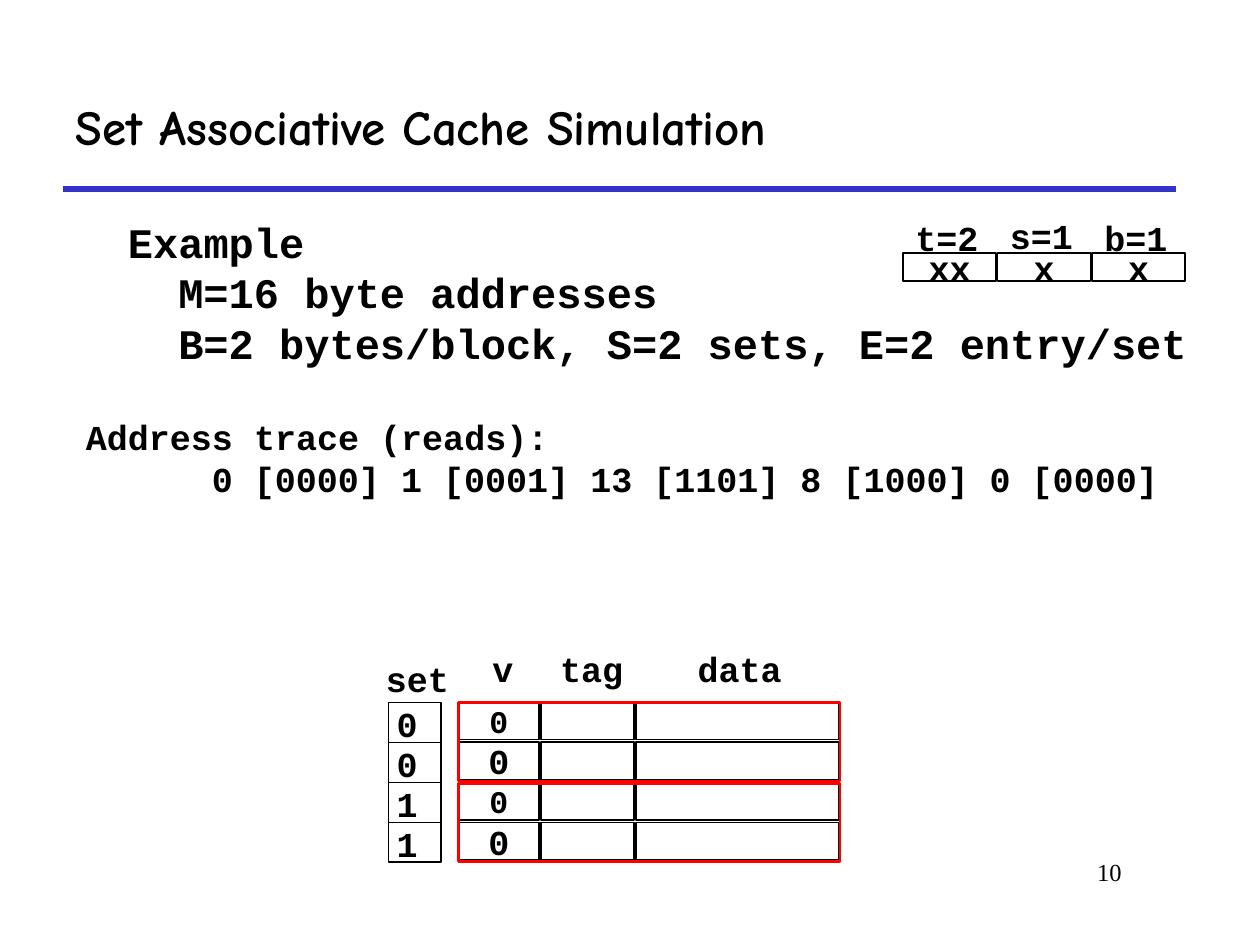
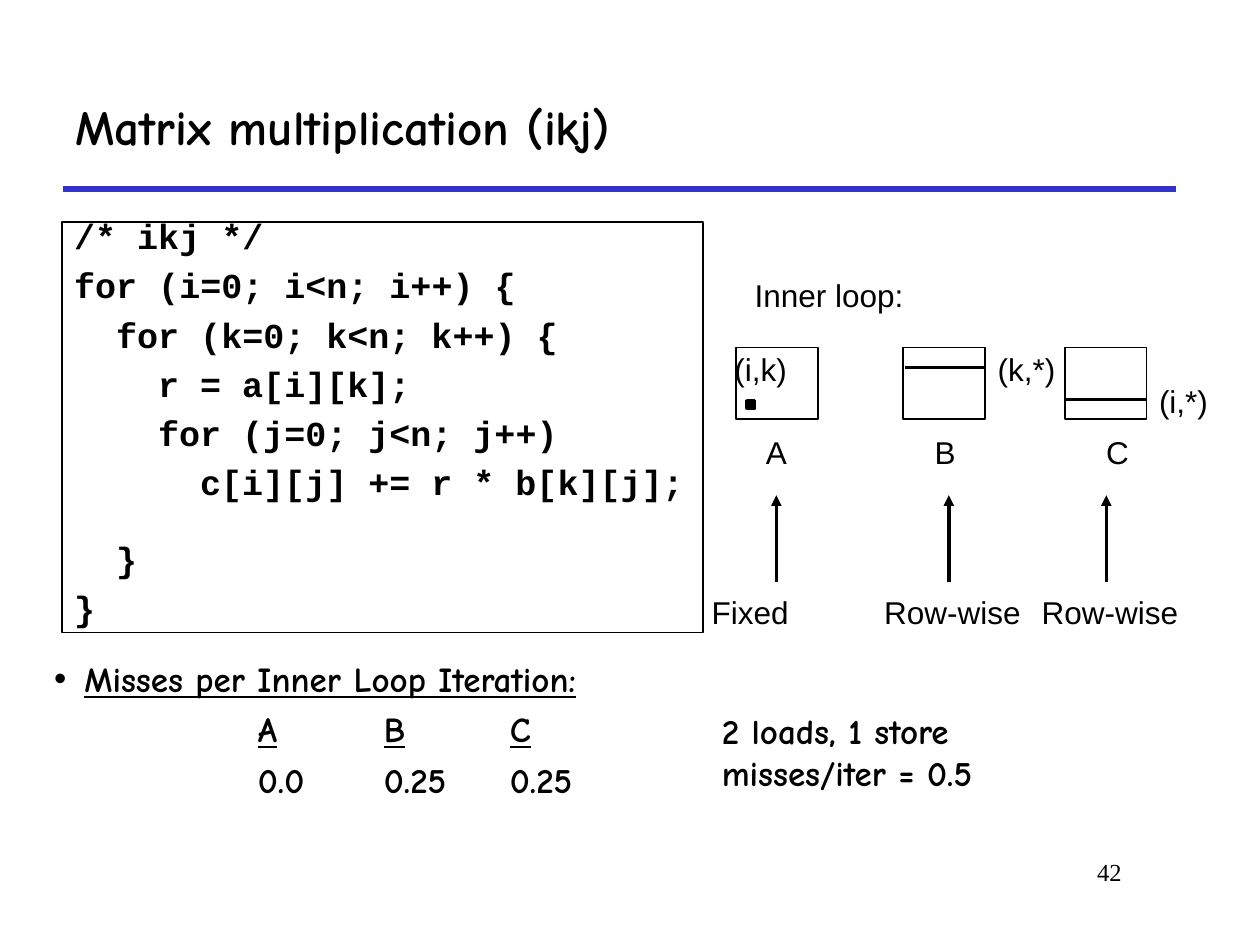
from pptx import Presentation
from pptx.dml.color import RGBColor
from pptx.enum.shapes import MSO_CONNECTOR, MSO_SHAPE
from pptx.enum.text import MSO_ANCHOR, MSO_AUTO_SIZE, PP_ALIGN
from pptx.util import Pt
from lxml.etree import SubElement
from pptx.oxml.ns import qn

BLACK, WHITE, RED, BLUE = "000000", "FFFFFF", "FF0000", "3333CC"
MONO, HAND, SANS, SERIF = "Courier New", "Comic Neue", "Arial", "Times New Roman"
CODE = dict(font=MONO, size=20, bold=True)
NOTE = dict(font=HAND, size=20, bold=True)
LABEL = dict(font=SANS, size=18, wrap=False)
CELL = dict(CODE, wrap=False, align=PP_ALIGN.CENTER, anchor=MSO_ANCHOR.MIDDLE)


def color(hex_code):
    return RGBColor.from_string(hex_code)


def add_paragraph(p, text, font=SANS, size=18, bold=False, underline=False,
                  align=PP_ALIGN.LEFT, indent=0, hanging=0, bullet=None,
                  before=0, spacing=None):
    p.alignment = align
    p.space_before = Pt(before)
    if spacing:
        p.line_spacing = spacing
    pPr = p._p.get_or_add_pPr()
    pPr.set("marL", str(Pt(indent)))
    pPr.set("indent", str(Pt(-hanging)))
    if bullet:
        SubElement(pPr, qn("a:buFont"), typeface=SANS)
        SubElement(pPr, qn("a:buChar"), char=bullet)
    r = p.add_run()
    r.text = text
    r.font.name = font
    r.font.size = Pt(size)
    r.font.bold = bold
    r.font.underline = underline
    r.font.color.rgb = color(BLACK)


def write(sp, lines, wrap=True, anchor=MSO_ANCHOR.TOP, **fmt):
    tf = sp.text_frame
    tf.word_wrap = wrap
    tf.vertical_anchor = anchor
    for i, line in enumerate([lines] if isinstance(lines, str) else lines):
        text, own = (line, {}) if isinstance(line, str) else line
        p = tf.add_paragraph() if i else tf.paragraphs[0]
        add_paragraph(p, text, **{**fmt, **own})


def add_text(s, box, lines, wrap=True, **fmt):
    sp = s.shapes.add_textbox(*map(Pt, box))
    write(sp, lines, wrap=wrap, **fmt)
    if not wrap:
        sp.text_frame.auto_size = MSO_AUTO_SIZE.SHAPE_TO_FIT_TEXT


def add_rect(s, box, fill=WHITE, line=BLACK, width=1):
    sp = s.shapes.add_shape(MSO_SHAPE.RECTANGLE, *map(Pt, box))
    sp.shadow.inherit = False
    if fill:
        sp.fill.solid()
        sp.fill.fore_color.rgb = color(fill)
    else:
        sp.fill.background()
    sp.line.color.rgb = color(line)
    sp.line.width = Pt(width)
    return sp


def add_line(s, x1, y1, x2, y2, line=BLACK, width=2, arrow=False):
    cxn = s.shapes.add_connector(MSO_CONNECTOR.STRAIGHT, *map(Pt, (x1, y1, x2, y2)))
    cxn.line.color.rgb = color(line)
    cxn.line.width = Pt(width)
    if arrow:
        SubElement(cxn.line._get_or_add_ln(), qn("a:tailEnd"), type="triangle")
    SubElement(cxn._element.spPr, qn("a:effectLst"))


def add_page(prs, title, number):
    s = prs.slides.add_slide(prs.slide_layouts[6])
    add_line(s, 36, 108, 672, 108, line=BLUE, width=3)
    add_text(s, (546, 486, 102, 36), number, font=SERIF, size=14, align=PP_ALIGN.RIGHT)
    add_text(s, (36, 36, 636, 72), title, font=HAND, size=28, bold=True,
             anchor=MSO_ANCHOR.MIDDLE)
    return s


def address_fields(s, box):
    x, y, w, h = box
    step = w / 3
    fields = [("t=2", "xx", 0), ("s=1", "x", -1.4), ("b=1", "x", 0)]
    for i, (name, bits, shift) in enumerate(fields):
        left = x + i * step
        write(add_rect(s, (left, y + h - 16, step - 0.8, 16)), bits, **CELL)
        add_text(s, (left, y + shift, 50.4, 31), name, wrap=False, **CODE)


def cache_table(s, box):
    x, y, w, h = box
    row_h = h / 4
    columns = [(0, 46), (47, 53.5), (101.5, 116)]
    for row in range(4):
        for col, (left, width) in enumerate(columns):
            sp = add_rect(s, (x + left, y + row * row_h, width, 21.6))
            if col == 0:
                write(sp, "0", **{**CELL, "size": 20 if row % 2 else 18})
    for name, left, width in [("v", 12.3, 26.6), ("tag", 51, 50.4), ("data", 129.6, 62.6)]:
        add_text(s, (x + left, y - 34.6, width, 31), name, wrap=False, **CODE)
    for pair in range(2):
        add_rect(s, (x, y + 0.6 + pair * h / 2, w, 44.8), fill=None, line=RED, width=1.5)


def set_column(s, box):
    x, y, w, h = box
    row_h = h / 4
    add_rect(s, box, fill=None, width=0.75)
    for row, index in enumerate("0011"):
        top = y + row * row_h
        if row:
            add_line(s, x, top, x + w, top, width=0.75)
        add_text(s, (x - 2.4, top - 3.5, 26, 31.5), index, wrap=False, **CODE)
    add_text(s, (x - 8.6, y - 29.5, 50.4, 31.5), "set", wrap=False, **CODE)


def cache_slide(prs):
    s = add_page(prs, "Set Associative Cache Simulation", "10")
    add_text(s, (66, 120, 624, 96), [
        "Example",
        ("M=16 byte addresses", dict(indent=28.8)),
        ("B=2 bytes/block, S=2 sets, E=2 entry/set", dict(indent=28.8)),
    ], font=MONO, size=24, bold=True)
    add_text(s, (42, 234, 654, 55.5), [
        "Address trace (reads):",
        ("0 [0000] 1 [0001] 13 [1101] 8 [1000] 0 [0000]", dict(indent=72)),
    ], **CODE)
    address_fields(s, (516, 120.2, 162, 40.5))
    cache_table(s, (262, 401, 218, 92))
    set_column(s, (222, 401.6, 30, 91))


def code_box(s, box):
    lines = [
        (0, "/* ikj */"),
        (0, "for (i=0; i<n; i++) {"),
        (1, "for (k=0; k<n; k++) {"),
        (2, "r = a[i][k];"),
        (2, "for (j=0; j<n; j++)"),
        (3, "c[i][j] += r * b[k][j];"),
        (1, "}"),
        (0, "}"),
    ]
    gap = 12.5
    paragraphs = [(text, dict(indent=24 * level,
                              before=28 if (level, text) == (1, "}") else gap))
                  for level, text in lines]
    write(add_rect(s, box, fill=None), paragraphs, spacing=0.65, **CODE)


def inner_loop(s, box):
    x, y, w, h = box
    add_text(s, (x + 24.5, y, 99.4, 29), "Inner loop:", **LABEL)
    matrices = [
        ("A", 21, 31, 26.6, "Fixed", 0, 58.3, 44),
        ("B", 116.6, 127.4, 26.6, "Row-wise", 98.6, 92.2, 142.6),
        ("C", 208.8, 225.4, 27.4, "Row-wise", 188.6, 92.2, 232.6),
    ]
    for name, left, name_x, name_w, access, access_x, access_w, arrow_x in matrices:
        add_rect(s, (x + left, y + 44.6, 46.8, 41))
        add_text(s, (x + name_x, y + 90, name_w, 29), name, **LABEL)
        add_text(s, (x + access_x, y + h - 29, access_w, 29), access, **LABEL)
        add_line(s, x + arrow_x, y + 178.8, x + arrow_x, y + 129, arrow=True)
    add_rect(s, (x + 27.4, y + 75, 4.3, 4.3), fill=BLACK, width=2)
    add_text(s, (x + 13, y + 42.5, 46, 29), "(i,k)", **LABEL)
    for label, left, top, width in [("(k,*)", 116.6, 56, 47.5), ("(i,*)", 208.8, 74.2, 42.5)]:
        right = x + left + 46.8
        add_line(s, x + left + 0.7, y + top, right, y + top)
        add_text(s, (right, y + top - 13.7, width, 29), label, **LABEL)


def miss_rates(s, box):
    x, y, w, h = box
    add_text(s, (x, y, 391, 32), "Misses per Inner Loop Iteration:", underline=True,
             bullet="•", indent=17.3, hanging=17.3, before=5, **NOTE)
    for i, (matrix, rate) in enumerate([("A", "0.0"), ("B", "0.25"), ("C", "0.25")]):
        add_text(s, (x + 116.5 + 72 * i, y + 28.5, 70, h - 28.5),
                 [(matrix, dict(underline=True)), rate], before=5, **NOTE)
    add_text(s, (x + w - 252, y + 29.5, 252, 55.5),
             ["2 loads, 1 store", "misses/iter = 0.5"], indent=9.4, **NOTE)


def matrix_slide(prs):
    s = add_page(prs, "Matrix multiplication (ikj)", "42")
    code_box(s, (35.3, 126.7, 366.5, 234.7))
    inner_loop(s, (399.6, 154, 298, 210.5))
    miss_rates(s, (23.8, 372.2, 624.2, 96.5))


def main():
    prs = Presentation()
    prs.slide_width, prs.slide_height = Pt(720), Pt(540)
    cache_slide(prs)
    matrix_slide(prs)
    prs.save("out.pptx")


if __name__ == "__main__":
    main()
